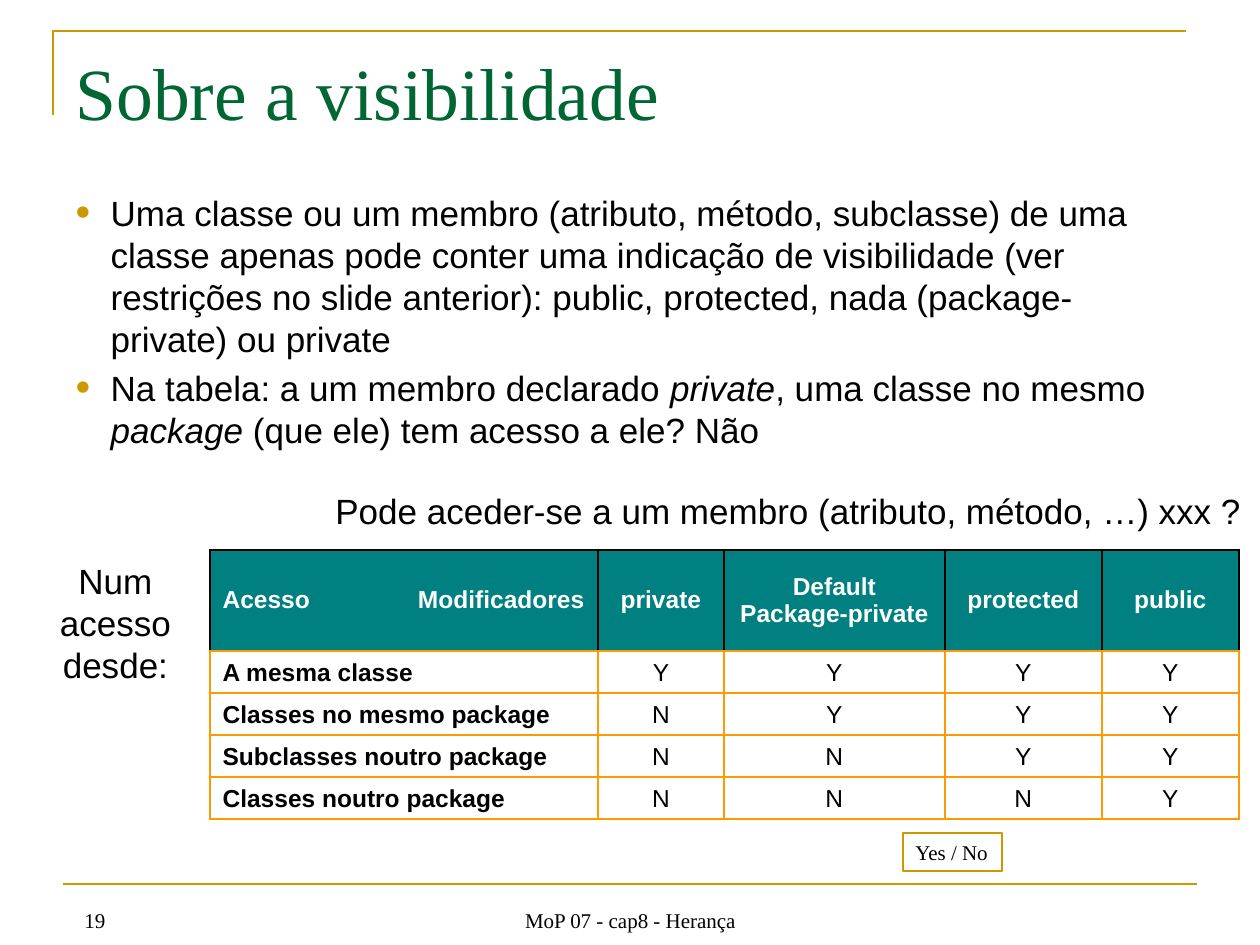
from lxml.etree import SubElement
from pptx import Presentation
from pptx.dml.color import RGBColor
from pptx.enum.shapes import MSO_CONNECTOR, MSO_SHAPE
from pptx.enum.text import MSO_ANCHOR, MSO_AUTO_SIZE, PP_ALIGN
from pptx.oxml import parse_xml
from pptx.oxml.ns import nsdecls, qn
from pptx.util import Emu, Pt

PX = 914400 // 126
SANS, SERIF = "Arial", "Times New Roman"
COLORS = {
    "gold": "CC9900", "title": "006633", "text": "000000",
    "header": "008080", "header_text": "FFFFFF", "grid": "FF9900",
}

TITLE = "Sobre a visibilidade"
BULLETS = [
    [("Uma classe ou um membro (atributo, método, subclasse) de uma classe apenas pode "
      "conter uma indicação de visibilidade (ver restrições no slide anterior): public, "
      "protected, nada (package-private) ou private", False)],
    [("Na tabela: a um membro declarado ", False), ("private", True),
     (", uma classe no mesmo ", False), ("package", True),
     (" (que ele) tem acesso a ele? Não", False)],
]
LABELS = [
    ("19", (72, 901, 48, 38), SERIF, 12, PP_ALIGN.LEFT, MSO_ANCHOR.TOP, False),
    ("MoP 07 - cap8 - Herança", (431, 895, 399, 44), SERIF, 12,
     PP_ALIGN.CENTER, MSO_ANCHOR.BOTTOM, True),
    ("Num acesso desde:", (21, 553, 189, 140), SANS, 20,
     PP_ALIGN.CENTER, MSO_ANCHOR.TOP, True),
    ("Pode aceder-se a um membro (atributo, método, …) xxx ?", (323, 483, 937, 55),
     SANS, 20, PP_ALIGN.LEFT, MSO_ANCHOR.TOP, False),
]
LEGEND = ("Yes / No", (903, 833, 99, 38))
TABLE = [
    ["Acesso\tModificadores", "private", "Default\nPackage-private", "protected", "public"],
    ["A mesma classe", "Y", "Y", "Y", "Y"],
    ["Classes no mesmo package", "N", "Y", "Y", "Y"],
    ["Subclasses noutro package", "N", "N", "Y", "Y"],
    ["Classes noutro package", "N", "N", "N", "Y"],
]
TABLE_ORIGIN = (210, 550)
COLUMN_WIDTHS = [388, 126, 221, 157, 137]
ROW_HEIGHTS = [101, 42, 42, 42, 42]
HEADER_TAB = 362
BULLET_INDENT = 35


def px(*values):
    return [Emu(value * PX) for value in values]


def color(name):
    return RGBColor.from_string(COLORS[name])


def format_text(frame, font, size, tint="text", align=None, bold=None):
    for paragraph in frame.paragraphs:
        if align is not None:
            paragraph.alignment = align
        for run in paragraph.runs:
            run.font.name = font
            run.font.size = Pt(size)
            run.font.color.rgb = color(tint)
            if bold is not None:
                run.font.bold = bold


def style_line(line, width):
    line.color.rgb = color("gold")
    line.width = Pt(width)


def place(shape, box):
    shape.left, shape.top, shape.width, shape.height = px(*box)


def add_frame_lines(slide):
    rule = slide.shapes.add_connector(MSO_CONNECTOR.STRAIGHT, *px(63, 884, 1197, 884))
    style_line(rule.line, 1.5)
    SubElement(rule._element.spPr, qn("a:effectLst"))
    builder = slide.shapes.build_freeform(53, 115, scale=PX)
    builder.add_line_segments([(53, 31), (1186, 31)], close=False)
    corner = builder.convert_to_shape()
    corner.fill.background()
    corner.shadow.inherit = False
    style_line(corner.line, 1.5)


def fill_title(slide):
    title = slide.shapes.title
    place(title, (63, 38, 1134, 107))
    title.text_frame.text = TITLE
    title.text_frame.vertical_anchor = MSO_ANCHOR.MIDDLE
    format_text(title.text_frame, SERIF, 42, "title", PP_ALIGN.LEFT)


def fill_body(slide):
    body = slide.placeholders[1]
    place(body, (63, 185, 1134, 684))
    frame = body.text_frame
    frame.auto_size = MSO_AUTO_SIZE.NONE
    for index, parts in enumerate(BULLETS):
        paragraph = frame.paragraphs[0] if index == 0 else frame.add_paragraph()
        for text, italic in parts:
            run = paragraph.add_run()
            run.text = text
            run.font.italic = italic
        properties = paragraph._p.get_or_add_pPr()
        properties.set("marL", str(BULLET_INDENT * PX))
        properties.set("indent", str(-BULLET_INDENT * PX))
        bullet_color = SubElement(properties, qn("a:buClr"))
        SubElement(bullet_color, qn("a:srgbClr"), val=COLORS["gold"])
        SubElement(properties, qn("a:buSzPct"), val="120000")
        SubElement(properties, qn("a:buFont"), typeface=SANS)
        SubElement(properties, qn("a:buChar"), char="•")
    format_text(frame, SANS, 20)


def add_labels(slide):
    for text, box, font, size, align, anchor, wrap in LABELS:
        frame = slide.shapes.add_textbox(*px(*box)).text_frame
        frame.text = text
        frame.word_wrap = wrap
        frame.vertical_anchor = anchor
        format_text(frame, font, size, align=align)


def add_legend(slide):
    text, box = LEGEND
    legend = slide.shapes.add_shape(MSO_SHAPE.RECTANGLE, *px(*box))
    legend.fill.background()
    legend.shadow.inherit = False
    style_line(legend.line, 0.75)
    legend.text_frame.text = text
    legend.text_frame.word_wrap = False
    legend.text_frame.vertical_anchor = MSO_ANCHOR.TOP
    format_text(legend.text_frame, SERIF, 12, align=PP_ALIGN.LEFT)


def set_borders(cell, tints):
    properties = cell._tc.get_or_add_tcPr()
    for index, (side, tint) in enumerate(zip("LRTB", tints)):
        properties.insert(index, parse_xml(
            f'<a:ln{side} {nsdecls("a")} w="12700"><a:solidFill>'
            f'<a:srgbClr val="{COLORS[tint]}"/></a:solidFill></a:ln{side}>'))


def add_access_table(slide):
    size = (sum(COLUMN_WIDTHS), sum(ROW_HEIGHTS))
    table = slide.shapes.add_table(
        len(TABLE), len(TABLE[0]), *px(*TABLE_ORIGIN, *size)).table
    table.horz_banding = False
    for column, width in zip(table.columns, px(*COLUMN_WIDTHS)):
        column.width = width
    for row, height in zip(table.rows, px(*ROW_HEIGHTS)):
        row.height = height
    for r, texts in enumerate(TABLE):
        header = r == 0
        for c, text in enumerate(texts):
            cell = table.cell(r, c)
            cell.text_frame.text = text
            cell.vertical_anchor = MSO_ANCHOR.MIDDLE if header else MSO_ANCHOR.BOTTOM
            align = PP_ALIGN.LEFT if c == 0 else PP_ALIGN.CENTER
            format_text(cell.text_frame, SANS, 14, "header_text" if header else "text",
                        align, header or c == 0)
            if header:
                cell.fill.solid()
                cell.fill.fore_color.rgb = color("header")
                set_borders(cell, ["text", "text", "text", "grid"])
            else:
                cell.fill.background()
                set_borders(cell, ["grid"] * 4)
    properties = table.cell(0, 0).text_frame.paragraphs[0]._p.get_or_add_pPr()
    tabs = SubElement(properties, qn("a:tabLst"))
    SubElement(tabs, qn("a:tab"), pos=str(HEADER_TAB * PX), algn="r")


def main():
    presentation = Presentation()
    presentation.slide_width, presentation.slide_height = px(1260, 945)
    slide = presentation.slides.add_slide(presentation.slide_layouts[1])
    add_frame_lines(slide)
    fill_title(slide)
    fill_body(slide)
    add_labels(slide)
    add_access_table(slide)
    add_legend(slide)
    presentation.save("out.pptx")


if __name__ == "__main__":
    main()
